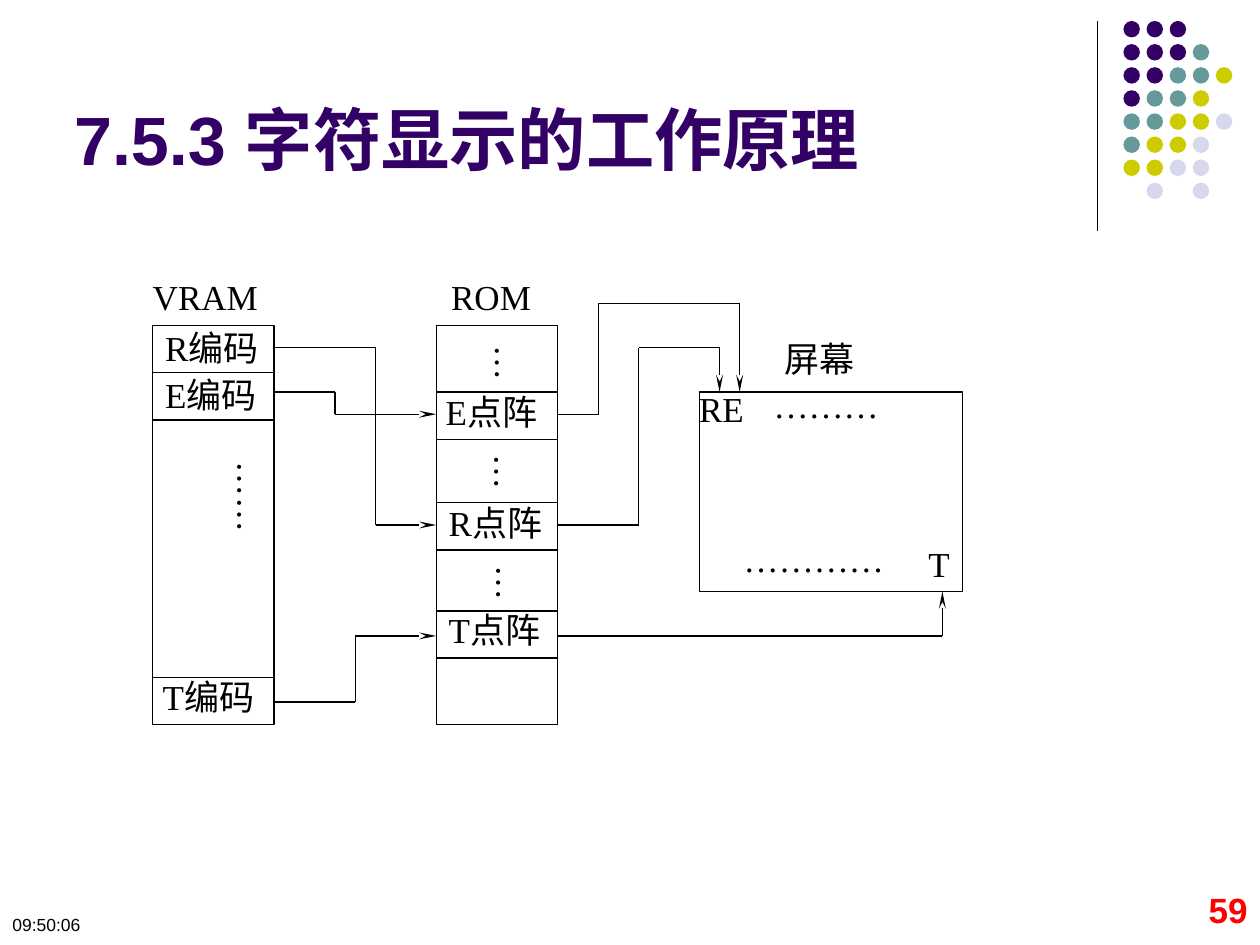
from lxml.etree import SubElement
from pptx import Presentation
from pptx.dml.color import RGBColor
from pptx.enum.shapes import MSO_CONNECTOR as Connector, MSO_SHAPE as Shape
from pptx.enum.text import MSO_ANCHOR as Anchor, PP_ALIGN as Align
from pptx.oxml.ns import qn
from pptx.util import Pt

COLORS = {
    "black": "000000", "red": "FF0000", "P": "330066",
    "T": "669999", "Y": "CCCC00", "L": "D8D8EC",
}

presentation = Presentation()
presentation.slide_width, presentation.slide_height = Pt(720), Pt(540)
slide = presentation.slides.add_slide(presentation.slide_layouts[6])


def add_line(start, end, arrow=False):
    line = slide.shapes.add_connector(Connector.STRAIGHT, *map(Pt, start + end))
    line.line.color.rgb = RGBColor.from_string(COLORS["black"])
    line.line.width = Pt(0.75)
    properties = line._element.spPr
    if arrow:
        SubElement(properties.find(qn("a:ln")), qn("a:tailEnd"), type="stealth", w="sm", len="lg")
    SubElement(properties, qn("a:effectLst"))


def add_text(text, left, top, width, height, size=20, font="Times New Roman",
             color="black", bold=False, rotation=0):
    box = slide.shapes.add_textbox(Pt(left), Pt(top), Pt(width), Pt(height))
    box.rotation = rotation
    box.text_frame.word_wrap = True
    box.text_frame.text = text
    run_font = box.text_frame.paragraphs[0].runs[0].font
    run_font.name, run_font.size, run_font.bold = font, Pt(size), bold
    run_font.color.rgb = RGBColor.from_string(COLORS[color])
    return box


add_line((627.1, 12.2), (627.1, 131.8))
dot_rows = ["PPP", "PPPT", "PPTTY", "PTTY", "TTYYL", "TYYL", "YYLL", ".L.L"]
for row, codes in enumerate(dot_rows):
    for column, code in enumerate(codes):
        if code != ".":
            dot = slide.shapes.add_shape(
                Shape.OVAL, Pt(642 + 13.2 * column), Pt(12 + 13.2 * row), Pt(9.4), Pt(9.4))
            dot.shadow.inherit = False
            dot.fill.solid()
            dot.fill.fore_color.rgb = RGBColor.from_string(COLORS[code])
            dot.line.fill.background()

title = add_text("7.5.3 字符显示的工作原理", 35.3, 49, 482.4, 56.9, 39, "Arial", "P", True)
title.text_frame.vertical_anchor = Anchor.BOTTOM

vram_left, rom_left, column_width = 87.3, 249.3, 69.4
vram_right, rom_right = vram_left + column_width, rom_left + column_width
column_top, column_height = 186, 228
screen_left, screen_top, screen_width, screen_height = 399.6, 224, 150.4, 114
screen_bottom = screen_top + screen_height

for left, top, width, height in [
    (vram_left, column_top, column_width, column_height),
    (rom_left, column_top, column_width, column_height),
    (screen_left, screen_top, screen_width, screen_height),
]:
    frame = slide.shapes.add_shape(Shape.RECTANGLE, Pt(left), Pt(top), Pt(width), Pt(height))
    frame.shadow.inherit = False
    frame.fill.background()
    frame.line.color.rgb = RGBColor.from_string(COLORS["black"])
    frame.line.width = Pt(0.75)

for left, dividers in [
    (vram_left, [213, 240, 387.2]),
    (rom_left, [224, 251, 287.3, 314.3, 349.1, 376.1]),
]:
    for y in dividers:
        add_line((left, y), (left + column_width, y))

e_row, r_row, t_row = 236.7, 300, 363.4
routes = [
    [(vram_right, 198.7), (214.7, 198.7), (214.7, r_row), (rom_left, r_row)],
    [(vram_right, 224), (191.5, 224), (191.5, e_row), (rom_left, e_row)],
    [(vram_right, 401.2), (203, 401.2), (203, t_row), (rom_left, t_row)],
    [(rom_right, e_row), (342, e_row), (342, 173.4), (422.7, 173.4), (422.7, screen_top)],
    [(rom_right, r_row), (365, r_row), (365, 198.7), (411.2, 198.7), (411.2, screen_top)],
    [(rom_right, t_row), (538.5, t_row), (538.5, screen_bottom)],
]
for route in routes:
    for start, end in zip(route, route[1:]):
        add_line(start, end, arrow=end == route[-1])

labels = [
    ("ROM", 250.7, 154, 92.9), ("VRAM", 80.2, 154, 92.9),
    ("E点阵", 247.6, 219.5, 92.9), ("R点阵", 249.3, 283, 92.9), ("T点阵", 249.3, 344.3, 92.9),
    ("R编码", 87.3, 183, 92.9), ("E编码", 87.3, 209.8, 92.9), ("T编码", 85.9, 382.4, 92.9),
    ("RE", 392.4, 217.7, 92.2), ("………", 435, 215.6, 173.5), ("屏幕", 441.5, 189.2, 98.6),
    ("T", 523.4, 306.4, 54.7), ("…………", 417.9, 303.4, 128.9),
]
for text, left, top, width in labels:
    add_text(text, left, top, width, 26.6)

for text, left, top in [
    ("…", 227.9, 238.3), ("…", 227.5, 300.2), ("…", 228.6, 363.6), ("……", 80.6, 304.6),
]:
    add_text(text, left, top, 126.4, 31, rotation=90)

add_text("09:50:06", 0, 519, 168, 21, 10, "Arial")
page_number = add_text("59", 655, 504, 65, 36, 20, "Arial", "red", True)
page_number.text_frame.paragraphs[0].alignment = Align.RIGHT

presentation.save("out.pptx")
